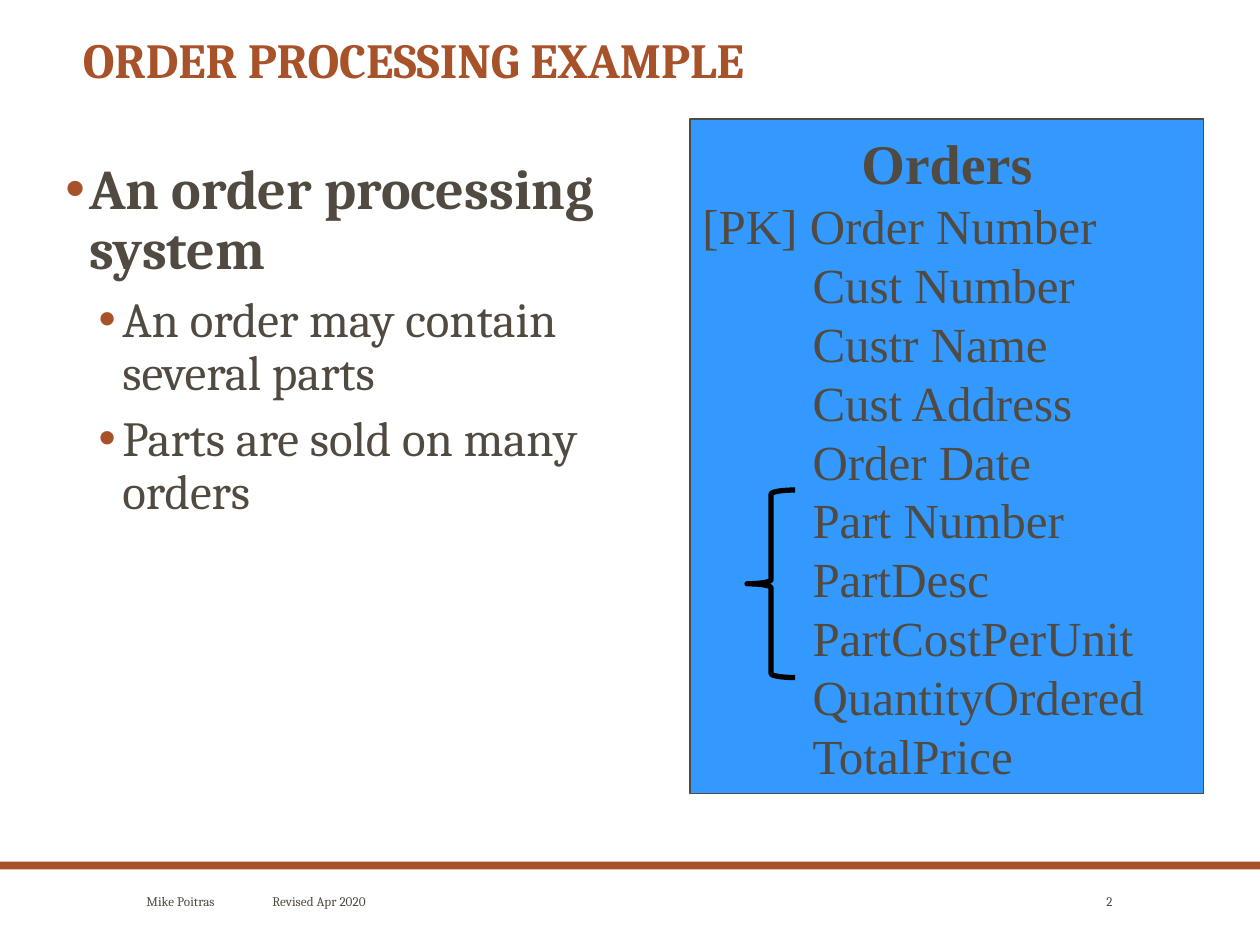
from dataclasses import dataclass

from lxml import etree
from pptx import Presentation
from pptx.dml.color import RGBColor
from pptx.enum.shapes import MSO_SHAPE
from pptx.enum.text import MSO_ANCHOR, PP_ALIGN
from pptx.oxml.ns import qn
from pptx.util import Cm, Pt

RECT, BRACE = MSO_SHAPE.RECTANGLE, MSO_SHAPE.LEFT_BRACE
TOP, MIDDLE, BOTTOM = MSO_ANCHOR.TOP, MSO_ANCHOR.MIDDLE, MSO_ANCHOR.BOTTOM
LEFT, CENTER, RIGHT = PP_ALIGN.LEFT, PP_ALIGN.CENTER, PP_ALIGN.RIGHT

COLORS = {"rust": "A85229", "text": "514A40", "blue": "3399FF", "black": "000000"}
SERIF, TIMES = "Cambria", "Times New Roman"


@dataclass
class Box:
    """Place and size in centimetres."""
    left: float
    top: float
    width: float
    height: float

    def emu(self) -> tuple:
        return Cm(self.left), Cm(self.top), Cm(self.width), Cm(self.height)


@dataclass
class Bullet:
    text: str
    size: float
    margin: float
    before: float
    level: int = 1
    bold: bool = False


def rgb(name: str) -> RGBColor:
    return RGBColor.from_string(COLORS[name])


def add_text(tf, text: str, *, size: float, font: str = SERIF, color: str = "text",
             bold: bool = False, align=LEFT, margin: float = 0, hang: float = 0,
             spacing: float = 1.0, before: float = 0, level: int = 0):
    """Write one paragraph, using the empty first one if there is one."""
    p = tf.paragraphs[0]
    if p.runs:
        p = tf.add_paragraph()
    p.alignment, p.level = align, level
    p.line_spacing, p.space_before = spacing, Pt(before)
    pPr = p._p.get_or_add_pPr()
    pPr.set("marL", str(Cm(margin)))
    pPr.set("indent", str(-Cm(hang)))
    r = p.add_run()
    r.text = text
    r.font.name, r.font.size, r.font.bold = font, Pt(size), bold
    r.font.color.rgb = rgb(color)
    return p


def add_bullet(p, color: str) -> None:
    pPr = p._p.get_or_add_pPr()
    clr = etree.SubElement(pPr, qn("a:buClr"))
    etree.SubElement(clr, qn("a:srgbClr"), val=COLORS[color])
    etree.SubElement(pPr, qn("a:buFont"), typeface="Arial")
    etree.SubElement(pPr, qn("a:buChar"), char="•")


def add_tab_stop(p, pos: float) -> None:
    tabs = etree.SubElement(p._p.get_or_add_pPr(), qn("a:tabLst"))
    etree.SubElement(tabs, qn("a:tab"), pos=str(Cm(pos)), algn="l")


def add_textbox(s, box: Box, anchor=TOP):
    tf = s.shapes.add_textbox(*box.emu()).text_frame
    tf.word_wrap, tf.vertical_anchor = True, anchor
    return tf


def add_shape(s, kind, box: Box, fill: str = "", line: str = "", width: float = 0.75):
    sp = s.shapes.add_shape(kind, *box.emu())
    sp.shadow.inherit = False
    if fill:
        sp.fill.solid()
        sp.fill.fore_color.rgb = rgb(fill)
    else:
        sp.fill.background()
    if line:
        sp.line.color.rgb = rgb(line)
        sp.line.width = Pt(width)
    else:
        sp.line.fill.background()
    return sp


BULLETS = [
    Bullet("An order processing system", 32, 0.58, 13.5, level=0, bold=True),
    Bullet("An order may contain several parts", 28, 1.25, 7.5),
    Bullet("Parts are sold on many orders", 28, 1.25, 7.5),
]
FIELDS = ["Cust Number", "Custr Name", "Cust Address", "Order Date", "Part Number",
          "PartDesc", "PartCostPerUnit", "QuantityOrdered", "TotalPrice"]


def main() -> None:
    prs = Presentation()
    prs.slide_width, prs.slide_height = Cm(25.4), Cm(19.05)
    s = prs.slides.add_slide(prs.slide_layouts[6])

    # Footer rule
    add_shape(s, RECT, Box(0, 17.37, 25.4, 0.16), fill="rust")

    # Title
    tf = add_textbox(s, Box(1.42, 0.5, 20, 1.42), BOTTOM)
    add_text(tf, "ORDER PROCESSING EXAMPLE", size=28, color="rust", bold=True, spacing=0.9)

    # Bulleted text
    tf = add_textbox(s, Box(0.97, 3.12, 11.3, 11.43))
    for b in BULLETS:
        p = add_text(tf, b.text, size=b.size, bold=b.bold, margin=b.margin, hang=0.48,
                     spacing=0.9, before=b.before, level=b.level)
        add_bullet(p, "rust")

    # Orders table box
    sp = add_shape(s, RECT, Box(13.91, 2.4, 10.36, 13.6), fill="blue", line="text")
    tf = sp.text_frame
    tf.word_wrap, tf.vertical_anchor = True, MIDDLE
    add_text(tf, "Orders", size=32, font=TIMES, bold=True, align=CENTER)
    add_text(tf, "[PK] Order Number", size=28, font=TIMES)
    for field in FIELDS:
        add_text(tf, field, size=28, font=TIMES, margin=2.22)

    # Footer: author, revision and page number
    tf = add_textbox(s, Box(2.7, 17.83, 10.8, 0.66), MIDDLE)
    p = add_text(tf, "Mike Poitras\tRevised Apr 2020", size=7.5)
    add_tab_stop(p, 3.48)

    # Brace around the repeating part fields
    add_shape(s, BRACE, Box(15.06, 9.88, 0.97, 3.78), line="black", width=3)

    tf = add_textbox(s, Box(21.23, 17.83, 1.45, 0.66), MIDDLE)
    add_text(tf, "2", size=7.5, align=RIGHT)

    prs.save("out.pptx")


if __name__ == "__main__":
    main()
